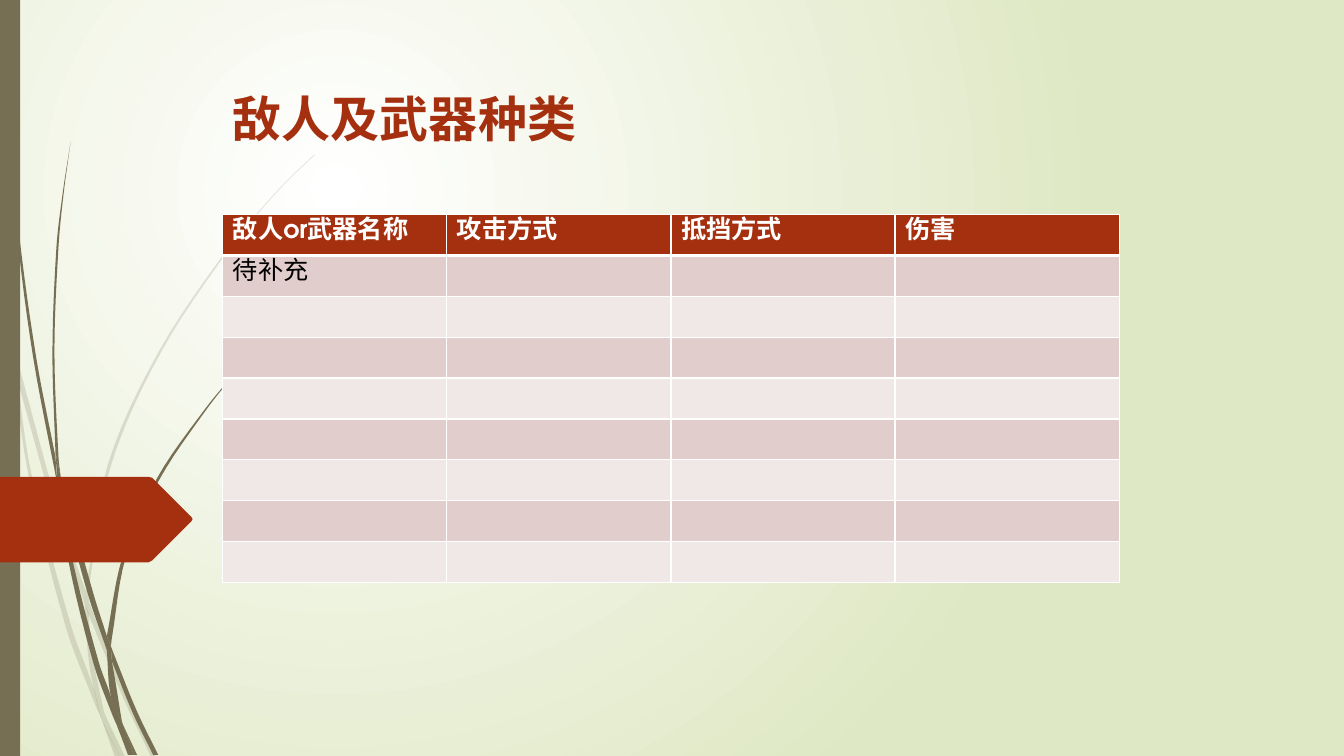
from dataclasses import dataclass

from lxml.etree import SubElement
from pptx import Presentation
from pptx.dml.color import RGBColor
from pptx.enum.shapes import MSO_SHAPE
from pptx.enum.text import MSO_ANCHOR, MSO_AUTO_SIZE, PP_ALIGN
from pptx.oxml import parse_xml
from pptx.oxml.ns import nsdecls, qn
from pptx.util import Pt

PX = 9144  # EMU per px, 100 px to the inch
STEPS = 6  # straight pieces per curve section


@dataclass(frozen=True)
class Theme:
    accent: str = "A53010"
    stem: str = "766F54"
    white: str = "FFFFFF"
    black: str = "000000"
    meadow: str = "DFE8C4"
    bands: tuple = ("E1CDCC", "F0E8E7")
    title_font: str = "Noto Sans CJK SC"
    table_font: str = "TeX Gyre Adventor"
    title_size: int = 35
    table_size: int = 18
    border: int = 1
    header_rule: int = 3


THEME = Theme()
HEADINGS = ["敌人or武器名称", "攻击方式", "抵挡方式", "伤害"]
FIRST_ENTRY = "待补充"
BODY_ROWS = 8

# Each blade of grass has two edges: one way out, the other way back
PALE_GRASS = [
    ([(0, 282), (9, 322), (11, 350)], [(10, 344), (0, 299)]),
    ([(17, 376), (58, 522), (84, 599)], [(85, 586), (62, 520), (14, 345)]),
    ([(88, 610), (123, 694), (150, 751)], [(155, 751), (127, 692), (92, 607), (88, 596)]),
    ([(105, 711), (119, 751)], [(124, 751)]),
    ([(11, 350), (28, 470), (65, 621), (92, 693), (101, 714)],
     [(99, 707), (93, 683), (70, 619), (31, 469), (17, 376)]),
    ([(84, 599), (87, 646), (93, 683), (105, 711)], [(103, 706), (91, 646), (88, 608)]),
    ([(312, 153), (289, 175), (268, 197), (228, 244), (158, 348), (107, 461), (85, 586)],
     [(88, 596), (88, 584), (110, 462), (160, 349), (229, 245), (268, 198), (290, 175), (312, 154)]),
    ([(101, 714), (114, 751)], [(119, 751)]),
    ([(85, 586), (84, 599)], [(88, 610), (88, 596)]),
    ([(93, 683), (101, 714), (119, 751)], [(105, 711), (96, 692)]),
]
DARK_GRASS = [
    ([(3, 0), (4, 48), (7, 110), (17, 233), (33, 355), (57, 481)],
     [(55, 453), (36, 355), (19, 232), (8, 109), (5, 48), (4, 0)]),
    ([(64, 505), (88, 592), (106, 645)], [(106, 631), (93, 590), (60, 472)]),
    ([(111, 656), (132, 708), (152, 749)], [(157, 749), (136, 706), (113, 649), (110, 641)]),
    ([(57, 477), (68, 557), (93, 659), (111, 708), (117, 722)],
     [(116, 717), (110, 691), (98, 657), (72, 556), (64, 505)]),
    ([(70, 141), (62, 193), (56, 245), (52, 349), (55, 449)],
     [(60, 472), (58, 453), (54, 349), (58, 245), (63, 193), (70, 141)]),
    ([(122, 719), (133, 749)], [(136, 749)]),
    ([(55, 449), (57, 477)], [(64, 505), (60, 472)]),
    ([(260, 344), (231, 373), (204, 405), (156, 474), (122, 551), (106, 631)],
     [(110, 641), (111, 633), (125, 552), (158, 476), (205, 406), (231, 374), (261, 344)]),
    ([(117, 722), (127, 749)], [(131, 749)]),
    ([(106, 645), (110, 691), (122, 719)], [(121, 716), (111, 656), (109, 651)]),
    ([(106, 631), (106, 645)], [(111, 656), (110, 641)]),
    ([(110, 691), (117, 722), (130, 749)], [(133, 749), (122, 719), (116, 706)]),
]
MARKER = [(0, 0), (147, 0), (151, 1), (190, 40), (191, 42), (190, 44), (151, 83), (147, 85), (0, 85)]


def smooth_edge(anchors):
    """Round an edge off with cubic curves through its anchors."""
    knots = [complex(*anchor) for anchor in anchors]
    last = len(knots) - 1
    headings = []
    for i in range(len(knots)):
        chord = knots[min(i + 1, last)] - knots[max(i - 1, 0)]
        headings.append(chord / (abs(chord) or 1))
    curve = knots[:1]
    for i in range(last):
        start, end = knots[i], knots[i + 1]
        reach = abs(end - start) / 3
        leave, arrive = start + headings[i] * reach, end - headings[i + 1] * reach
        for step in range(1, STEPS + 1):
            t = step / STEPS
            u = 1 - t
            curve.append(u**3 * start + 3 * u * u * t * leave + 3 * u * t * t * arrive + t**3 * end)
    return [(knot.real, knot.imag) for knot in curve]


def paint(shape, color):
    shape.shadow.inherit = False
    shape.fill.solid()
    shape.fill.fore_color.rgb = RGBColor.from_string(color)
    shape.line.fill.background()


def add_outline(shapes, points, color, left=0, top=0):
    corners = [((left + x) * PX, (top + y) * PX) for x, y in points]
    builder = shapes.build_freeform(*corners[0], scale=1.0)
    builder.add_line_segments(corners[1:], close=True)
    outline = builder.convert_to_shape()
    paint(outline, color)
    return outline


def style_text(frame, font_name, size, color, bold):
    for run in frame.paragraphs[0].runs:
        run.font.name = font_name
        run.font.size = Pt(size)
        run.font.bold = bold
        run.font.color.rgb = RGBColor.from_string(color)
        SubElement(run.font._element, qn("a:ea")).set("typeface", font_name)


def add_background(slide):
    stops = "".join(f'<a:gs pos="{pos}"><a:srgbClr val="{color}"/></a:gs>'
                    for pos, color in ((0, THEME.white), (100000, THEME.meadow)))
    slide.element.cSld.insert(0, parse_xml(
        f'<p:bg {nsdecls("p", "a")}><p:bgPr><a:gradFill rotWithShape="1"><a:gsLst>{stops}</a:gsLst>'
        '<a:path path="circle"><a:fillToRect l="50000" t="50000" r="100000" b="100000"/></a:path>'
        '</a:gradFill><a:effectLst/></p:bgPr></p:bg>'))


def add_grass(slide, blades, left, top, opacity=100):
    tuft = slide.shapes.add_group_shape()
    for out, back in blades:
        blade = add_outline(tuft.shapes, smooth_edge(out) + smooth_edge(back), THEME.stem, left, top)
        if opacity < 100:
            color = blade.element.spPr.find(qn("a:solidFill"))[0]
            SubElement(color, qn("a:alpha")).set("val", str(opacity * 1000))


def add_stem_bar(slide, left, top, width, height):
    bar = slide.shapes.add_shape(MSO_SHAPE.RECTANGLE, left * PX, top * PX, width * PX, height * PX)
    paint(bar, THEME.stem)


def add_title(slide, left, top, width, height):
    title = slide.shapes.title
    title.left, title.top, title.width, title.height = (v * PX for v in (left, top, width, height))
    frame = title.text_frame
    frame.text = "敌人及武器种类"
    frame.auto_size = MSO_AUTO_SIZE.NONE
    frame.word_wrap = False
    frame.vertical_anchor = MSO_ANCHOR.MIDDLE
    frame.paragraphs[0].alignment = PP_ALIGN.LEFT
    style_text(frame, THEME.title_font, THEME.title_size, THEME.accent, True)


def set_borders(cell, top, bottom):
    widths = {"L": THEME.border, "R": THEME.border, "T": top, "B": bottom}
    for place, (side, width) in enumerate(widths.items()):
        cell._tc.get_or_add_tcPr().insert(place, parse_xml(
            f'<a:ln{side} {nsdecls("a")} w="{Pt(width)}"><a:solidFill>'
            f'<a:srgbClr val="{THEME.white}"/></a:solidFill></a:ln{side}>'))


def add_enemy_table(slide, left, top, width, height):
    table = slide.shapes.add_table(BODY_ROWS + 1, len(HEADINGS), left * PX, top * PX,
                                   width * PX, height * PX).table
    table.first_row = table.horz_banding = False
    entries = {(0, col): heading for col, heading in enumerate(HEADINGS)}
    entries[1, 0] = FIRST_ENTRY
    for row in range(BODY_ROWS + 1):
        header = row == 0
        for col in range(len(HEADINGS)):
            cell = table.cell(row, col)
            cell.fill.solid()
            cell.fill.fore_color.rgb = RGBColor.from_string(
                THEME.accent if header else THEME.bands[(row - 1) % 2])
            set_borders(cell, THEME.header_rule if row == 1 else THEME.border,
                        THEME.header_rule if header else THEME.border)
            if (row, col) in entries:
                cell.text_frame.text = entries[row, col]
                style_text(cell.text_frame, THEME.table_font, THEME.table_size,
                           THEME.white if header else THEME.black, header)


def main():
    deck = Presentation()
    deck.slide_width, deck.slide_height = 1333 * PX, 750 * PX
    slide = deck.slides.add_slide(deck.slide_layouts[5])
    # Backdrop
    add_background(slide)
    add_grass(slide, PALE_GRASS, 0, 0, opacity=20)
    add_grass(slide, DARK_GRASS, 0, 0)
    add_stem_bar(slide, 0, 0, 20, 750)
    add_outline(slide.shapes, MARKER, THEME.accent, 0, 473)
    # Content
    add_title(slide, 221, 82, 428, 69)
    add_enemy_table(slide, 221, 213, 889, 364)
    deck.save("out.pptx")


if __name__ == "__main__":
    main()
